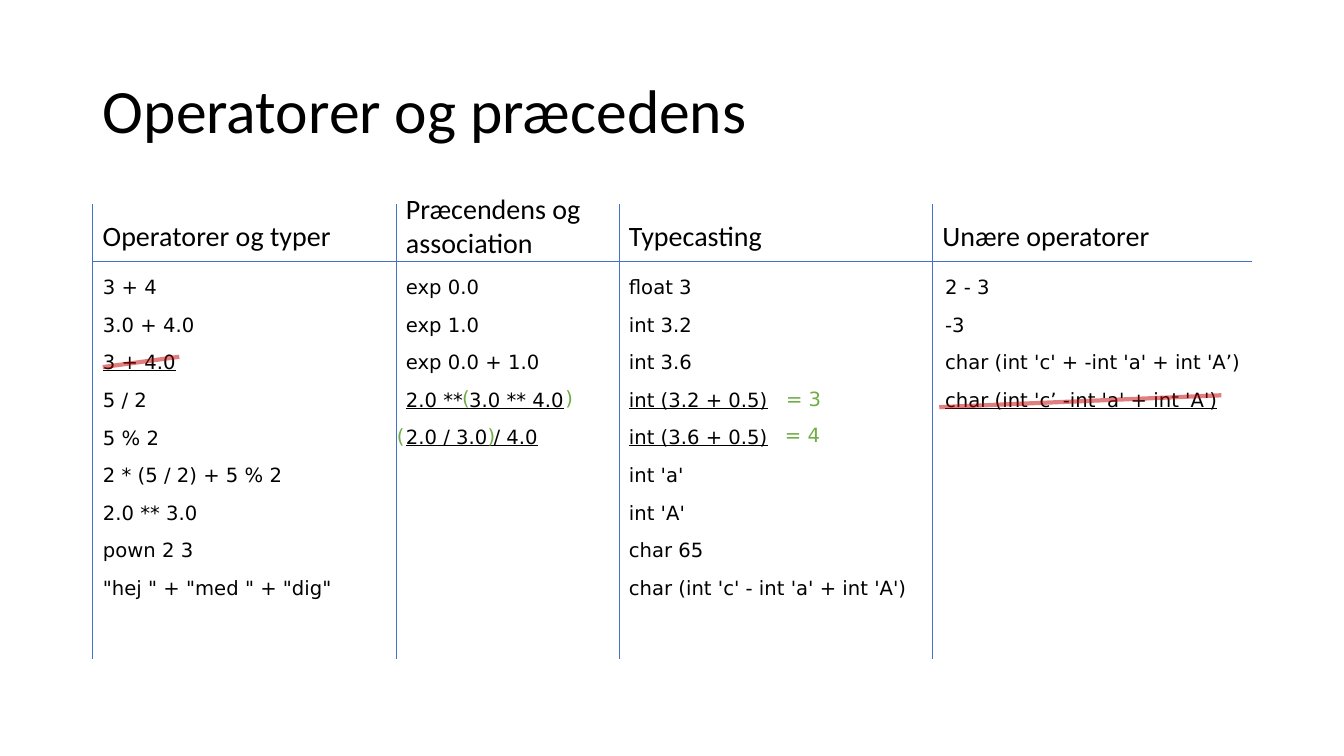
import pptx
import pptx.dml.color
import pptx.enum.shapes
import pptx.enum.text
import pptx.oxml.ns
import pptx.util
from lxml import etree

INK, RULE, STRIKE, ANSWER = "000000", "4472C4", "C00000", "70AD47"
SANS, CODE = "Calibri", "DejaVu Sans"
GRID_LEFT, GRID_RIGHT, GRID_TOP, GRID_BOTTOM = 2.34, 31.55, 5.13, 16.61
HEADING_RULE = 6.58

# heading, heading top, heading height, column left, list left, width, underlined rows, expressions
COLUMNS = [
    ("Operatorer og typer", 5.38, 1.12, GRID_LEFT, GRID_LEFT, 7.47, {2},
     ["3 + 4", "3.0 + 4.0", "3 + 4.0", "5 / 2", "5 % 2", "2 * (5 / 2) + 5 % 2",
      "2.0 ** 3.0", "pown 2 3", '"hej " + "med " + "dig"']),
    ("Præcendens og association", 4.7, 1.96, 9.98, 9.98, 5.46, {3, 4},
     ["exp 0.0", "exp 1.0", "exp 0.0 + 1.0", "2.0 ** 3.0 ** 4.0", "2.0 / 3.0 / 4.0"]),
    ("Typecasting", 5.38, 1.12, 15.6, 15.6, 7.62, {3, 4},
     ["float 3", "int 3.2", "int 3.6", "int (3.2 + 0.5)", "int (3.6 + 0.5)",
      "int 'a'", "int 'A'", "char 65", "char (int 'c' - int 'a' + int 'A')"]),
    ("Unære operatorer", 5.38, 1.12, 23.5, 23.57, 8.2, {3},
     ["2 - 3", "-3", "char (int 'c' + -int 'a' + int 'A’)",
      "char (int 'c’ -int 'a' + int 'A')"]),
]

ANSWERS = [
    ("(", 11.4, 9.6), (")", 14, 9.6), ("(", 9.75, 10.57), (")", 12.04, 10.57),
    ("= 3", 19.56, 9.63), ("= 4", 19.53, 10.52),
]
STRIKES = [(2.59, 9.25, 4.52, 8.99), (23.67, 10.26, 30.78, 9.96)]


def color(hex_string):
    return pptx.dml.color.RGBColor.from_string(hex_string)


class OperatorSlide:
    def __init__(self, deck):
        self.slide = deck.slides.add_slide(deck.slide_layouts[1])
        self.shapes = self.slide.shapes

    def place(self, box, left, top, width, height):
        box.left, box.top, box.width, box.height = map(
            pptx.util.Cm, (left, top, width, height))

    def fill_lines(self, box, lines, size, font, ink=INK, before=0, underlined=(),
                   anchor=pptx.enum.text.MSO_ANCHOR.TOP):
        frame = box.text_frame
        frame.text = "\n".join(lines)
        frame.word_wrap = True
        frame.auto_size = pptx.enum.text.MSO_AUTO_SIZE.NONE
        frame.vertical_anchor = anchor
        for row, paragraph in enumerate(frame.paragraphs):
            properties = paragraph._p.get_or_add_pPr()
            properties.set("marL", "0")
            properties.set("indent", "0")
            etree.SubElement(properties, pptx.oxml.ns.qn("a:buNone"))
            paragraph.alignment = pptx.enum.text.PP_ALIGN.LEFT
            paragraph.space_before = pptx.util.Pt(before if row else 0)
            for run in paragraph.runs:
                run.font.size = pptx.util.Pt(size)
                run.font.name = font
                run.font.color.rgb = color(ink)
                run.font.underline = row in underlined

    def title(self, wording):
        heading = self.shapes.title
        self.place(heading, GRID_LEFT, 1.02, 29.21, 3.68)
        self.fill_lines(heading, [wording], 44, SANS,
                        anchor=pptx.enum.text.MSO_ANCHOR.MIDDLE)
        heading.text_frame.paragraphs[0].line_spacing = 0.9

    def text(self, wording, left, top, width, height, size, font, ink=INK):
        box = self.shapes.add_textbox(0, 0, 0, 0)
        self.place(box, left, top, width, height)
        self.fill_lines(box, [wording], size, font, ink)

    def expressions(self, lines, left, width, underlined, first):
        box = self.slide.placeholders[1] if first else self.shapes.add_textbox(0, 0, 0, 0)
        self.place(box, left, 6.81, width, 9.37)
        self.fill_lines(box, lines, 14, CODE, before=10, underlined=underlined)

    def line(self, x1, y1, x2, y2, ink=RULE, width=0.5, opacity=100):
        rule = self.shapes.add_connector(
            pptx.enum.shapes.MSO_CONNECTOR.STRAIGHT,
            *map(pptx.util.Cm, (x1, y1, x2, y2)))
        rule.line.color.rgb = color(ink)
        rule.line.width = pptx.util.Pt(width)
        qn = pptx.oxml.ns.qn
        if opacity < 100:
            tint = rule._element.spPr.find(".//" + qn("a:srgbClr"))
            etree.SubElement(tint, qn("a:alpha")).set("val", str(opacity * 1000))
        etree.SubElement(rule._element.spPr, qn("a:effectLst"))


def main():
    deck = pptx.Presentation()
    deck.slide_width, deck.slide_height = pptx.util.Cm(33.87), pptx.util.Cm(19.05)
    page = OperatorSlide(deck)
    page.title("Operatorer og præcedens")
    for number, column in enumerate(COLUMNS):
        heading, top, height, left, list_left, width, underlined, lines = column
        page.expressions(lines, list_left, width, underlined, first=number == 0)
        page.line(left, GRID_TOP, left, GRID_BOTTOM)
        page.text(heading, left, top, width, height, 20, SANS)
    page.line(GRID_LEFT, HEADING_RULE, GRID_RIGHT, HEADING_RULE)
    for wording, left, top in ANSWERS:
        page.text(wording, left, top, 1.4, 0.86, 14, CODE, ANSWER)
    for ends in STRIKES:
        page.line(*ends, ink=STRIKE, width=3, opacity=50)
    deck.save("out.pptx")


if __name__ == "__main__":
    main()
